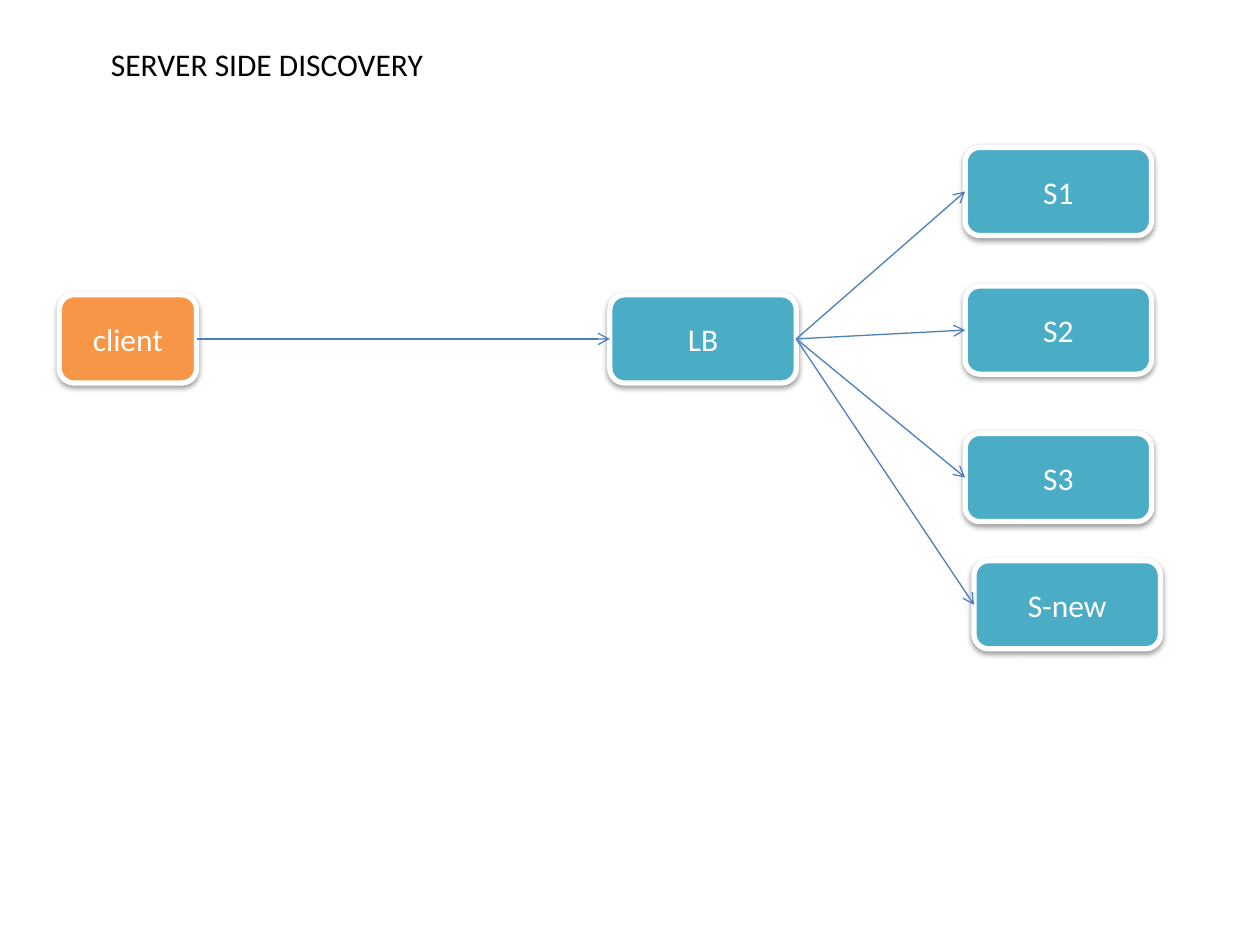
from dataclasses import dataclass

from lxml.etree import SubElement
from pptx import Presentation
from pptx.dml.color import RGBColor
from pptx.enum.shapes import MSO_CONNECTOR, MSO_SHAPE
from pptx.enum.text import MSO_ANCHOR, PP_ALIGN
from pptx.oxml.ns import qn
from pptx.util import Inches, Pt


@dataclass(frozen=True)
class Theme:
    font: str = "Calibri"
    text_size: float = 18
    outline_width: float = 3
    arrow_width: float = 0.75
    client: str = "F79646"
    server: str = "4BACC6"
    arrow: str = "4B7EBC"
    white: str = "FFFFFF"
    black: str = "000000"


theme = Theme()


def write_text(shape, text, color=theme.white, align=PP_ALIGN.CENTER, anchor=MSO_ANCHOR.MIDDLE):
    frame = shape.text_frame
    frame.word_wrap = True
    frame.vertical_anchor = anchor
    paragraph = frame.paragraphs[0]
    paragraph.alignment = align
    run = paragraph.add_run()
    run.text = text
    run.font.name = theme.font
    run.font.size = Pt(theme.text_size)
    run.font.color.rgb = RGBColor.from_string(color)


def add_shadow(shape):
    shape.shadow.inherit = False
    effects = shape._element.spPr.find(qn("a:effectLst"))
    shadow = SubElement(effects, qn("a:outerShdw"), blurRad=str(Pt(3.15)), dist=str(Pt(1.57)),
                        dir="5400000", rotWithShape="0")
    color = SubElement(shadow, qn("a:srgbClr"), val=theme.black)
    SubElement(color, qn("a:alpha"), val="38000")


presentation = Presentation()
presentation.slide_width = Inches(10)
presentation.slide_height = Inches(7.5)
slide = presentation.slides.add_slide(presentation.slide_layouts[5])

title = slide.shapes.title
title.left, title.top = Inches(0.78), Inches(0.31)
title.width, title.height = Inches(3.05), Inches(0.4)
write_text(title, "SERVER SIDE DISCOVERY", color=theme.black, align=PP_ALIGN.LEFT, anchor=MSO_ANCHOR.TOP)

node_height = 0.7
server_width = 1.48
nodes = [
    ("client", 0.47, 2.34, 1.09, theme.client),
    ("LB", 4.84, 2.34, server_width, theme.server),
    ("S1", 7.66, 1.17, server_width, theme.server),
    ("S2", 7.66, 2.27, server_width, theme.server),
    ("S3", 7.66, 3.44, server_width, theme.server),
    ("S-new", 7.73, 4.45, server_width, theme.server),
]
boxes = {}
for name, left, top, width, color in nodes:
    box = slide.shapes.add_shape(MSO_SHAPE.ROUNDED_RECTANGLE, Inches(left), Inches(top),
                                 Inches(width), Inches(node_height))
    box.fill.solid()
    box.fill.fore_color.rgb = RGBColor.from_string(color)
    box.line.color.rgb = RGBColor.from_string(theme.white)
    box.line.width = Pt(theme.outline_width)
    add_shadow(box)
    write_text(box, name)
    boxes[name] = box

routes = [("client", "LB")] + [("LB", server) for server in ("S1", "S2", "S3", "S-new")]
for source, target in routes:
    arrow = slide.shapes.add_connector(MSO_CONNECTOR.STRAIGHT, 0, 0, 0, 0)
    arrow.begin_connect(boxes[source], 3)
    arrow.end_connect(boxes[target], 1)
    arrow.line.color.rgb = RGBColor.from_string(theme.arrow)
    arrow.line.width = Pt(theme.arrow_width)
    SubElement(arrow.line._get_or_add_ln(), qn("a:tailEnd"), type="arrow")
    SubElement(arrow._element.spPr, qn("a:effectLst"))

presentation.save("out.pptx")
